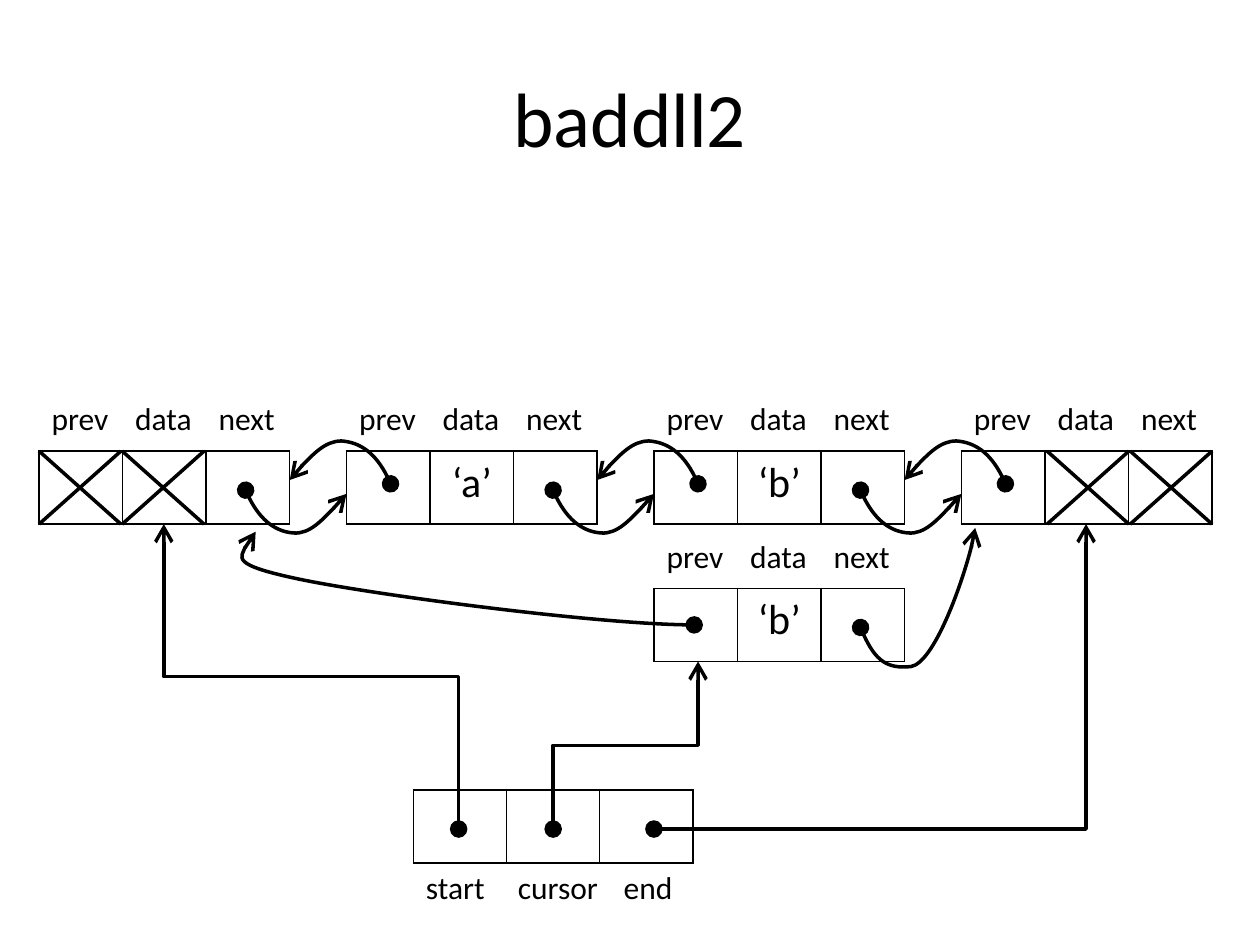
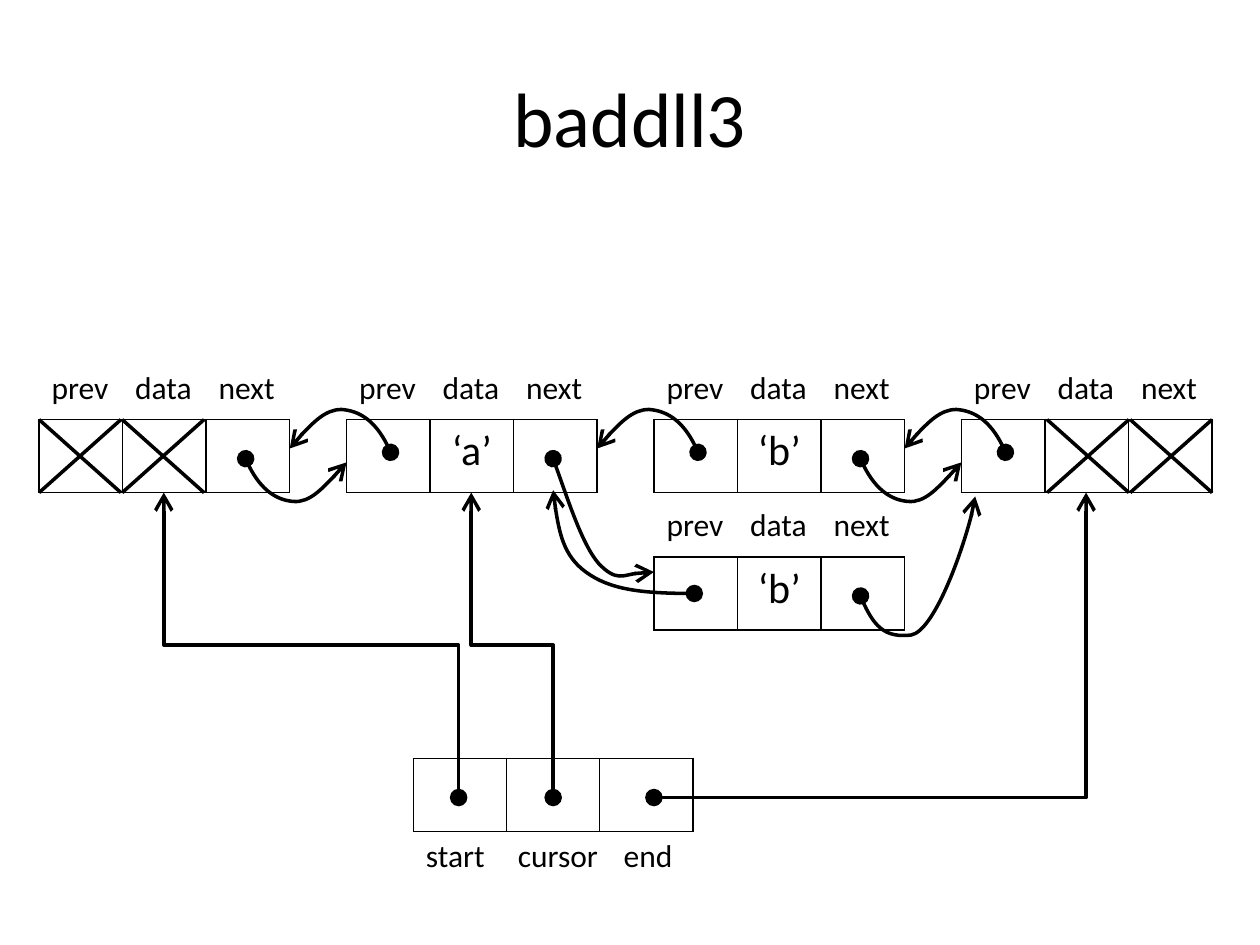
from lxml import etree
from pptx import Presentation
from pptx.dml.color import RGBColor
from pptx.enum import shapes, text
from pptx.oxml.ns import qn
from pptx.util import Inches, Pt

BLACK = RGBColor(0x00, 0x00, 0x00)
WHITE = RGBColor(0xFF, 0xFF, 0xFF)
FONT = "Calibri"
NO_STYLE = "{2D5ABB26-0587-4C30-8999-92F81FD0307C}"

NODE_LEFT, NODE_STEP, NODE_W = 0.31, 2.44, 1.99
CELL_H, LABEL_H = 0.58, 0.4
LOWER_DROP = 1.09  # lower node, below the main row
VARS_LEFT, VARS_W, VARS_DROP = 3.28, 2.22, 2.69
CROSS_LEFTS, CROSS_W = (0.31, 0.97, 8.31, 8.97), 0.65
NODE_LABELS = ("prev", "data", "next")
MAIN_DATA = ("", "‘a’", "‘b’", "")

# Bezier points, measured from the top left corner of the node they leave
PREV_CURVE = [(0.35, 0.26), (0.25, 0.02), (0.1, -0.07), (-0.04, -0.08),
              (-0.17, -0.08), (-0.39, 0.14), (-0.45, 0.23)]
NEXT_CURVE = [(1.64, 0.31), (1.74, 0.55), (1.89, 0.64), (2.02, 0.65),
              (2.15, 0.66), (2.37, 0.43), (2.44, 0.34)]
NEXT_TO_LOWER = [(1.64, 0.31), (1.74, 0.58), (1.87, 0.99), (2, 1.14),
                 (2.14, 1.29), (2.31, 1.2), (2.44, 1.21)]
LOWER_NEXT = [(1.64, 0.31), (1.74, 0.56), (1.85, 0.64), (2.04, 0.62),
              (2.22, 0.59), (2.52, -0.22), (2.55, -0.48)]
LOWER_PREV_TO_START = [(0.32, 0.29), (-0.42, 0.29), (-2.22, 0.05), (-2.8, -0.07),
                       (-3.38, -0.19), (-3.27, -0.32), (-3.16, -0.45)]
LOWER_PREV_TO_A = [(0.32, 0.29), (-0.07, 0.29), (-0.35, 0.26), (-0.54, 0.12),
                   (-0.72, -0.01), (-0.78, -0.31), (-0.8, -0.53)]


def node_left(index):
    return NODE_LEFT + index * NODE_STEP


def write(tf, words, size=18, align=None):
    p = tf.paragraphs[0]
    p.alignment = align
    r = p.add_run()
    r.text = words
    r.font.name = FONT
    r.font.size = Pt(size)
    r.font.color.rgb = BLACK


def style_line(sp, arrow=False):
    sp.line.color.rgb = BLACK
    sp.line.width = Pt(2)
    if arrow:
        ln = sp.line._get_or_add_ln()
        for tag, kind in (("a:headEnd", "oval"), ("a:tailEnd", "arrow")):
            etree.SubElement(ln, qn(tag), type=kind, w="lg", len="lg")


def add_connector(slide, kind, x1, y1, x2, y2, arrow=False):
    c = slide.shapes.add_connector(kind, *map(Inches, (x1, y1, x2, y2)))
    style_line(c, arrow)
    etree.SubElement(c.element.spPr, qn("a:effectLst"))
    return c


def add_cross(slide, x, y):
    for y1, y2 in ((y, y + CELL_H), (y + CELL_H, y)):
        add_connector(slide, shapes.MSO_CONNECTOR.STRAIGHT, x, y1, x + CROSS_W, y2)


def add_rising_elbow(slide, x1, y1, x2, y2):
    """Arrow that goes up, sideways and up: a horizontal elbow turned by 270 degrees."""
    mid_x, mid_y = (x1 + x2) / 2, (y1 + y2) / 2
    half_w, half_h = (y1 - y2) / 2, (x2 - x1) / 2
    c = add_connector(slide, shapes.MSO_CONNECTOR.ELBOW, mid_x - half_w, mid_y - half_h,
                      mid_x + half_w, mid_y + half_h, arrow=True)
    c.rotation = 270


def add_corner_elbow(slide, x1, y1, x2, y2):
    """Arrow with one bend, that goes sideways and then up."""
    c = add_connector(slide, shapes.MSO_CONNECTOR.ELBOW, x1, y1, x2, y2, arrow=True)
    c.element.spPr.find(qn("a:prstGeom")).set("prst", "bentConnector2")


def add_curve(slide, x, y, offsets):
    points = [(Inches(x + dx), Inches(y + dy)) for dx, dy in offsets]
    builder = slide.shapes.build_freeform(*points[0])
    builder.add_line_segments(points[1:], close=False)
    sp = builder.convert_to_shape()
    sp.fill.background()
    sp.shadow.inherit = False
    style_line(sp, arrow=True)
    segments = sp.element.xpath(".//a:lnTo")
    for i in range(0, len(segments), 3):
        bezier = etree.Element(qn("a:cubicBezTo"))
        segments[i].addprevious(bezier)
        for segment in segments[i:i + 3]:
            bezier.append(segment[0])
            segment.getparent().remove(segment)


def add_borders(cell):
    tc_pr = cell._tc.get_or_add_tcPr()
    for side in "LRTB":
        ln = etree.SubElement(tc_pr, qn("a:ln" + side), w=str(Pt(1)))
        fill = etree.SubElement(ln, qn("a:solidFill"))
        etree.SubElement(fill, qn("a:srgbClr"), val=str(BLACK))


def add_row(slide, x, y, widths, height, words, boxed=False):
    """One-row table: bordered boxes, or plain labels."""
    frame = slide.shapes.add_table(1, len(words), Inches(x), Inches(y),
                                   Inches(sum(widths)), Inches(height))
    table = frame.table
    table.first_row = table.horz_banding = False
    table._tbl.tblPr.find(qn("a:tableStyleId")).text = NO_STYLE
    for i, (width, word) in enumerate(zip(widths, words)):
        table.columns[i].width = Inches(width)
        cell = table.cell(0, i)
        if boxed:
            add_borders(cell)
            cell.fill.solid()
            cell.fill.fore_color.rgb = WHITE
        else:
            cell.fill.background()
        if word:
            write(cell.text_frame, word, size=24 if boxed else 18,
                  align=text.PP_ALIGN.CENTER if boxed else None)


def add_node(slide, x, y, data):
    widths = [NODE_W / 3] * 3
    add_row(slide, x, y, widths, CELL_H, ("", data, ""), boxed=True)
    add_row(slide, x, y - 0.45, widths, LABEL_H, NODE_LABELS)


def add_list_slide(prs, title, top, cursor_target, next_curves, lower_prev):
    """Linked list with its main row at top; cursor_target is x and distance below top."""
    slide = prs.slides.add_slide(prs.slide_layouts[5])
    sp = slide.shapes.title
    sp.left, sp.top, sp.width, sp.height = map(Inches, (0.5, 0.3, 9, 1.25))
    sp.text_frame.vertical_anchor = text.MSO_ANCHOR.MIDDLE
    write(sp.text_frame, title, size=44, align=text.PP_ALIGN.CENTER)

    lower_x, lower_y = node_left(2), top + LOWER_DROP
    for i, data in enumerate(MAIN_DATA):
        add_node(slide, node_left(i), top, data)
    add_node(slide, lower_x, lower_y, "‘b’")
    add_row(slide, VARS_LEFT, top + VARS_DROP, [VARS_W / 3] * 3, CELL_H, [""] * 3, boxed=True)
    add_row(slide, VARS_LEFT, top + VARS_DROP + CELL_H, (0.73, 0.84, 0.65), LABEL_H,
            ("start", "cursor", "end"))

    for i, next_curve in enumerate(next_curves):
        add_curve(slide, node_left(i + 1), top, PREV_CURVE)
        add_curve(slide, node_left(i), top, next_curve)
    add_curve(slide, lower_x, lower_y, LOWER_NEXT)
    add_curve(slide, lower_x, lower_y, lower_prev)
    for x in CROSS_LEFTS:
        add_cross(slide, x, top)

    dot_y, row_bottom = top + 3, top + CELL_H
    cursor_x, cursor_drop = cursor_target
    add_rising_elbow(slide, 3.64, dot_y, 1.3, row_bottom)
    add_rising_elbow(slide, 4.39, dot_y, cursor_x, top + cursor_drop)
    add_corner_elbow(slide, 5.19, dot_y, 8.62, row_bottom)


def main():
    prs = Presentation()
    prs.slide_width, prs.slide_height = Inches(10), Inches(7.5)
    add_list_slide(prs, "baddll2", 3.58, (5.54, LOWER_DROP + CELL_H),
                   [NEXT_CURVE] * 3, LOWER_PREV_TO_START)
    add_list_slide(prs, "baddll3", 3.33, (3.74, CELL_H),
                   [NEXT_CURVE, NEXT_TO_LOWER, NEXT_CURVE], LOWER_PREV_TO_A)
    prs.save("out.pptx")


if __name__ == "__main__":
    main()
